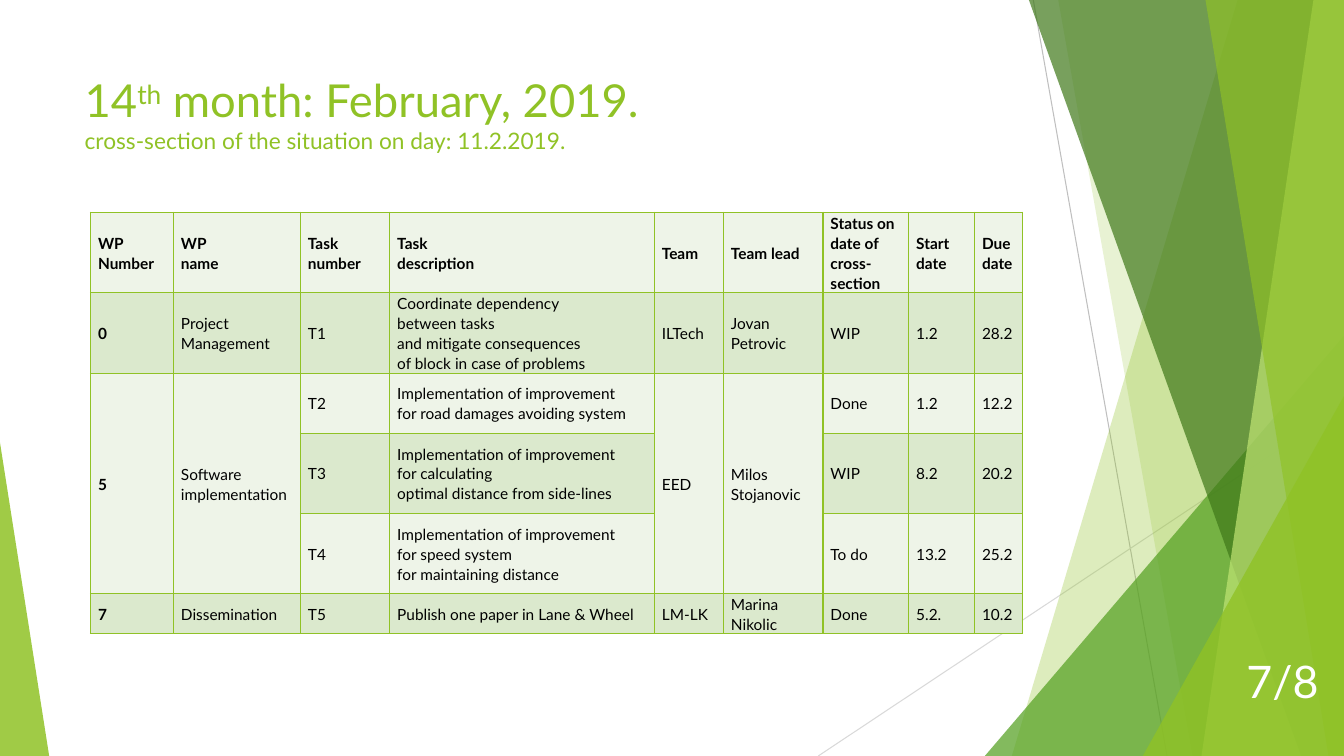
from pptx import Presentation
from pptx.dml.color import RGBColor
from pptx.enum.shapes import MSO_CONNECTOR, MSO_SHAPE
from pptx.enum.text import MSO_ANCHOR, MSO_AUTO_SIZE, PP_ALIGN
from pptx.oxml.ns import qn
from pptx.util import Cm, Pt
from lxml import etree

STRAIGHT = MSO_CONNECTOR.STRAIGHT
TRIANGLE = MSO_SHAPE.ISOSCELES_TRIANGLE
TOP, MIDDLE = MSO_ANCHOR.TOP, MSO_ANCHOR.MIDDLE
NO_FIT = MSO_AUTO_SIZE.NONE
LEFT, RIGHT = PP_ALIGN.LEFT, PP_ALIGN.RIGHT

LIME = RGBColor(0x90, 0xC2, 0x26)
GREEN = RGBColor(0x54, 0xA0, 0x21)
FOREST = RGBColor(0x3F, 0x78, 0x19)
PALE_LIME = RGBColor(0xC0, 0xE4, 0x74)
GREY = RGBColor(0xBF, 0xBF, 0xBF)
LIGHT_GREY = RGBColor(0xD9, 0xD9, 0xD9)
BAND_LIGHT = RGBColor(0xEE, 0xF4, 0xE8)
BAND_DARK = RGBColor(0xDB, 0xE9, 0xCD)
BLACK = RGBColor(0, 0, 0)
WHITE = RGBColor(0xFF, 0xFF, 0xFF)
FONT = "Lato"
WIDTH, HEIGHT = 33.87, 19.05

TITLE = [("14", 32.4, 0), ("th", 32.4, 30000), (" month: February, 2019.", 32.4, 0)]
SUBTITLE = ("cross-section of the situation on day: 11.2.2019.", 16.2, 0)
PAGE = "7/8"

ROWS = [
    ["WP\nNumber", "WP\nname", "Task\nnumber", "Task\ndescription", "Team", "Team lead",
     "Status on date of\ncross-section", "Start date", "Due date"],
    ["0", "Project Management", "T1",
     "Coordinate dependency\nbetween tasks\nand mitigate consequences\nof block in case of problems",
     "ILTech", "Jovan\nPetrovic", "WIP", "1.2", "28.2"],
    ["5", "Software implementation", "T2",
     "Implementation of improvement\nfor road damages avoiding system",
     "EED", "Milos\nStojanovic", "Done", "1.2", "12.2"],
    ["", "", "T3",
     "Implementation of improvement\nfor calculating\noptimal distance from side-lines",
     "", "", "WIP", "8.2", "20.2"],
    ["", "", "T4",
     "Implementation of improvement\nfor speed system\nfor maintaining distance",
     "", "", "To do", "13.2", "25.2"],
    ["7", "Dissemination", "T5", "Publish one paper in Lane & Wheel",
     "LM-LK", "Marina\nNikolic", "Done", "5.2.", "10.2"],
]
COL_WIDTHS = [2.09, 3.2, 2.25, 6.67, 1.74, 2.51, 2.16, 1.66, 1.2]
ROW_HEIGHTS = [2.03, 2.03, 1.51, 2.02, 2.02, 1.0]
MERGED_COLS, MERGED_ROWS = (0, 1, 4, 5), (2, 4)

RAYS = [
    (26.04, 0, 29.41, HEIGHT, GREY),
    (WIDTH, 10.24, 20.62, HEIGHT, LIGHT_GREY),
]
FACETS = [
    ("band", 31.19, 25.5, LIME, 30),
    ("band", 26.67, 30.05, LIME, 20),
    ("triangle", 24.82, 8.46, WIDTH - 24.82, 1, GREEN, 72),
    ("band", 25.93, 32.79, FOREST, 70),
    ("band", 33.1, 30.28, PALE_LIME, 70),
    ("band", 30.38, 33.48, LIME, 65),
    ("triangle", 28.8, 9.98, WIDTH - 28.8, 1, LIME, 80),
    ("triangle", 0, 11.15, 1.24, 0, LIME, 85),
]


def style_run(r, size, color, bold=False):
    r.font.name = FONT
    r.font.size = Pt(size)
    r.font.color.rgb = color
    r.font.bold = bold


def add_ray(shapes, x1, y1, x2, y2, color):
    line = shapes.add_connector(STRAIGHT, Cm(x1), Cm(y1), Cm(x2), Cm(y2))
    line.line.color.rgb = color
    line.line.width = Pt(0.75)
    etree.SubElement(line._element.spPr, qn("a:effectLst"))


def add_band(shapes, top_x, bottom_x):
    builder = shapes.build_freeform(Cm(top_x), 0)
    corners = [(WIDTH, 0), (WIDTH, HEIGHT), (bottom_x, HEIGHT)]
    builder.add_line_segments([(Cm(x), Cm(y)) for x, y in corners])
    return builder.convert_to_shape()


def add_triangle(shapes, left, top, width, apex):
    sp = shapes.add_shape(TRIANGLE, Cm(left), Cm(top), Cm(width), Cm(HEIGHT - top))
    sp.adjustments[0] = apex
    return sp


def add_facet(shapes, kind, *values):
    *geometry, color, opacity = values
    draw = {"band": add_band, "triangle": add_triangle}[kind]
    sp = draw(shapes, *geometry)
    sp.shadow.inherit = False
    sp.line.fill.background()
    sp.fill.solid()
    sp.fill.fore_color.rgb = color
    clr = sp._element.spPr.find(".//" + qn("a:srgbClr"))
    etree.SubElement(clr, qn("a:alpha"), val=str(opacity * 1000))


def set_borders(cell):
    tcPr = cell._tc.get_or_add_tcPr()
    for i, side in enumerate(("lnL", "lnR", "lnT", "lnB")):
        ln = etree.Element(qn("a:" + side), w=str(Pt(1)))
        fill = etree.SubElement(ln, qn("a:solidFill"))
        etree.SubElement(fill, qn("a:srgbClr"), val=str(LIME))
        tcPr.insert(i, ln)


def fill_cell(cell, text, row, col):
    cell.text = text
    cell.vertical_anchor = MIDDLE
    cell.margin_left = cell.margin_right = Cm(0.19)
    cell.margin_top = cell.margin_bottom = 0
    cell.fill.solid()
    cell.fill.fore_color.rgb = BAND_DARK if row % 2 else BAND_LIGHT
    set_borders(cell)
    for p in cell.text_frame.paragraphs:
        p.line_spacing = 1.07
        for r in p.runs:
            style_run(r, 11, BLACK, row == 0 or col == 0)


def add_title(title):
    title.left, title.top, title.width, title.height = Cm(1.88), Cm(1.7), Cm(23.88), Cm(3.66)
    tf = title.text_frame
    tf.auto_size = NO_FIT
    tf.vertical_anchor = TOP
    p = tf.paragraphs[0]
    p.alignment = LEFT
    for part in TITLE + [SUBTITLE]:
        text, size, baseline = part
        if part is SUBTITLE:
            p.add_line_break()
        r = p.add_run()
        r.text = text
        style_run(r, size, LIME)
        if baseline:
            r._r.get_or_add_rPr().set("baseline", str(baseline))
    title._element.getparent().append(title._element)


def add_task_table(shapes):
    frame = shapes.add_table(len(ROWS), len(COL_WIDTHS), Cm(2.28), Cm(5.35),
                             Cm(sum(COL_WIDTHS)), Cm(sum(ROW_HEIGHTS)))
    table = frame.table
    table.horz_banding = False
    for column, width in zip(table.columns, COL_WIDTHS):
        column.width = Cm(width)
    for row, height in zip(table.rows, ROW_HEIGHTS):
        row.height = Cm(height)
    for i, texts in enumerate(ROWS):
        for j, text in enumerate(texts):
            fill_cell(table.cell(i, j), text, i, j)
    first, last = MERGED_ROWS
    for j in MERGED_COLS:
        table.cell(first, j).merge(table.cell(last, j))


def add_page_number(shapes):
    box = shapes.add_textbox(Cm(29.01), Cm(16.08), Cm(4.47), Cm(2.16))
    tf = box.text_frame
    tf.word_wrap = True
    tf.vertical_anchor = MIDDLE
    tf.text = PAGE
    p = tf.paragraphs[0]
    p.alignment = RIGHT
    style_run(p.runs[0], 32, WHITE)


def main():
    prs = Presentation()
    prs.slide_width, prs.slide_height = Cm(WIDTH), Cm(HEIGHT)
    slide = prs.slides.add_slide(prs.slide_layouts[5])
    shapes = slide.shapes
    for ray in RAYS:
        add_ray(shapes, *ray)
    for facet in FACETS:
        add_facet(shapes, *facet)
    add_title(shapes.title)
    add_task_table(shapes)
    add_page_number(shapes)
    prs.save("out.pptx")


if __name__ == "__main__":
    main()
